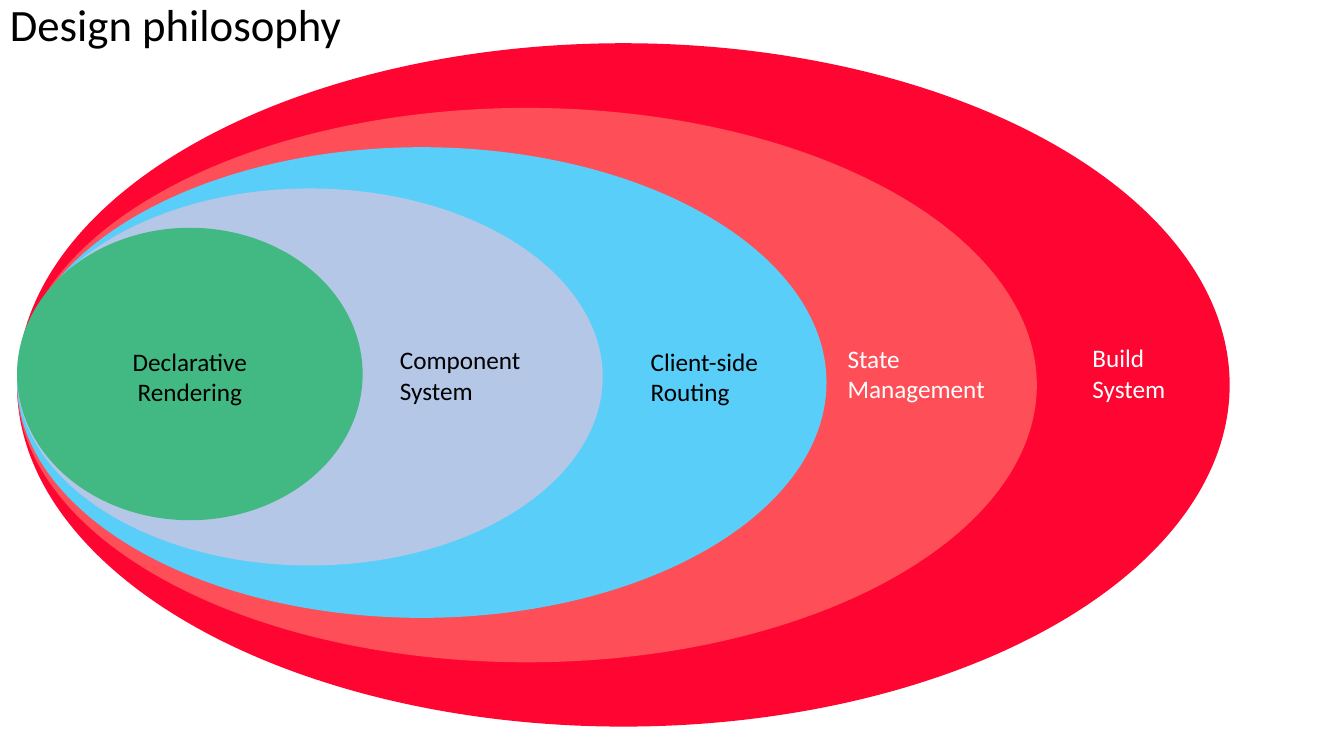
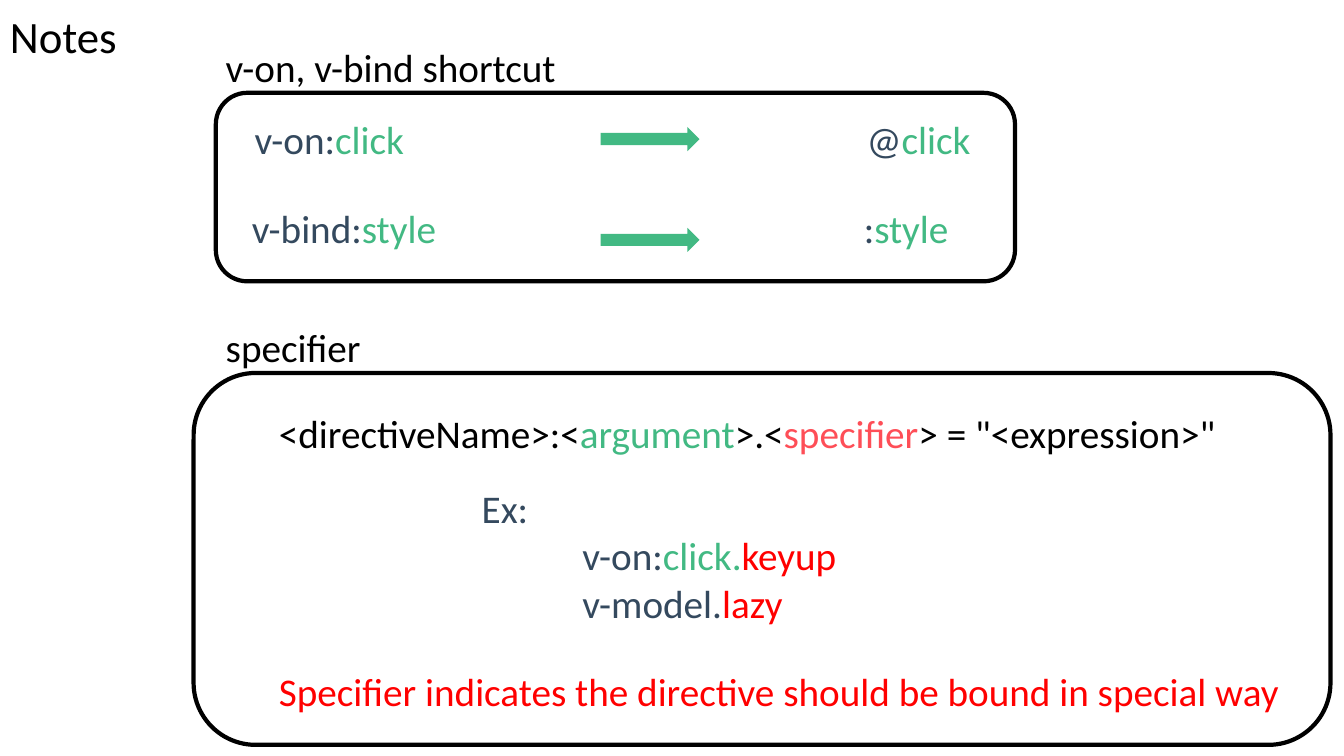
"""Build two slides: nested design layers, and notes on directive syntax."""
import dataclasses

import pptx
import pptx.dml.color
import pptx.enum.shapes
import pptx.enum.text
import pptx.util

Cm = pptx.util.Cm
Pt = pptx.util.Pt
Rgb = pptx.dml.color.RGBColor.from_string
Preset = pptx.enum.shapes.MSO_SHAPE
Align = pptx.enum.text.PP_ALIGN
Anchor = pptx.enum.text.MSO_ANCHOR


@dataclasses.dataclass(frozen=True)
class Theme:
    font: str = "Calibri"
    title_size: int = 32
    body_size: int = 28
    label_size: int = 18
    frame_width: int = 3
    black: str = "000000"
    white: str = "FFFFFF"
    green: str = "42B983"
    navy: str = "34495E"
    red: str = "FF0000"
    crimson: str = "FE0631"
    coral: str = "FE4E57"
    sky: str = "59CEF9"
    lavender: str = "B4C7E7"


theme = Theme()


def write(slide, paragraphs, left, top, width, height, size=theme.body_size,
          align=Align.LEFT, anchor=Anchor.TOP, spacing=1.0, indents=()):
    """Place paragraphs, each a list of (text, colour) runs, in a text box."""
    frame = slide.shapes.add_textbox(Cm(left), Cm(top), Cm(width), Cm(height)).text_frame
    frame.word_wrap = True
    frame.vertical_anchor = anchor
    for number, runs in enumerate(paragraphs):
        paragraph = frame.paragraphs[0] if number == 0 else frame.add_paragraph()
        paragraph.alignment = align
        paragraph.line_spacing = spacing
        if indents:
            paragraph._p.get_or_add_pPr().set("marL", str(Cm(indents[number])))
        for text, colour in runs:
            run = paragraph.add_run()
            run.text = text
            run.font.name = theme.font
            run.font.size = Pt(size)
            run.font.color.rgb = Rgb(colour)


def draw(slide, preset, left, top, width, height, fill=None, line=None):
    """Draw a preset shape with an optional fill and outline."""
    shape = slide.shapes.add_shape(preset, Cm(left), Cm(top), Cm(width), Cm(height))
    shape.shadow.inherit = False
    if fill:
        shape.fill.solid()
        shape.fill.fore_color.rgb = Rgb(fill)
    else:
        shape.fill.background()
    if line:
        shape.line.color.rgb = Rgb(line)
        shape.line.width = Pt(theme.frame_width)
    else:
        shape.line.fill.background()


deck = pptx.Presentation()
deck.slide_width = Cm(33.87)
deck.slide_height = Cm(19.05)
blank = deck.slide_layouts[6]
philosophy = deck.slides.add_slide(blank)
notes = deck.slides.add_slide(blank)

layers = [
    (["Build", "System"], theme.crimson, theme.white, 1.09, 30.56, 17.22, 27.28, 8.51),
    (["State", "Management"], theme.coral, theme.white, 2.72, 25.7, 13.97, 21.11, 8.53),
    (["Client-side", "Routing"], theme.sky, theme.black, 3.71, 20.4, 11.86, 16.15, 8.59),
    (["Component", "System"], theme.lavender, theme.black, 4.75, 14.76, 9.5, 9.83, 8.56),
    (["Declarative", "Rendering"], theme.green, theme.black, 5.74, 8.71, 7.37, 2.74, 8.59),
]
for words, fill, ink, top, width, height, label_left, label_top in layers:
    draw(philosophy, Preset.FLOWCHART_CONNECTOR, 0.43, top, width, height, fill=fill)
    innermost = words[0] == "Declarative"
    write(philosophy, [[(word, ink)] for word in words], label_left, label_top, 4.09, 1.8,
          size=theme.label_size, align=Align.CENTER if innermost else Align.LEFT)

for top, width, height in [(2.34, 20.14, 4.75), (9.4, 28.65, 9.37)]:
    left = 5.44 if top < 9 else 4.88
    draw(notes, Preset.ROUNDED_RECTANGLE, left, top, width, height, line=theme.black)

for heading, top in [("v-on, v-bind shortcut", 0.97), ("specifier", 8.03)]:
    write(notes, [[(heading, theme.black)]], 5.44, top, 10, 1.45)

shortcuts = [
    ("v-on:", "@", "click", 6.17, 2.77, 3.2),
    ("v-bind:", ":", "style", 6.1, 5.03, 5.74),
]
for directive, symbol, argument, left, top, arrow_top in shortcuts:
    for prefix, offset in [(directive, 0), (symbol, 15.42)]:
        write(notes, [[(prefix, theme.navy), (argument, theme.green)]],
              left + offset, top, 5.84, 1.45)
    draw(notes, Preset.RIGHT_ARROW, 15.14, arrow_top, 2.49, 0.61, fill=theme.green)

syntax = [("<directiveName>:<", theme.black), ("argument", theme.green), (">.<", theme.black),
          ("specifier", theme.coral), ("> = \"<expression>\"", theme.black)]
write(notes, [syntax], 6.78, 10.19, 24.97, 1.45)

examples = [
    [("Ex:", theme.navy)],
    [("v-on:", theme.navy), ("click.", theme.green), ("keyup", theme.red)],
    [("v-model.", theme.navy), ("lazy", theme.red)],
]
write(notes, examples, 11.89, 12.09, 12.52, 4.1, indents=(0, 2.54, 2.54))

meaning = "Specifier indicates the directive should be bound in special way"
write(notes, [[(meaning, theme.red)]], 6.78, 16.69, 26.62, 1.45)

for slide, title, width, height in [(philosophy, "Design philosophy", 11.79, 1.37),
                                    (notes, "Notes", 8.28, 1.98)]:
    write(slide, [[(title, theme.black)]], 0, 0, width, height,
          size=theme.title_size, anchor=Anchor.MIDDLE, spacing=0.9)

deck.save("out.pptx")
